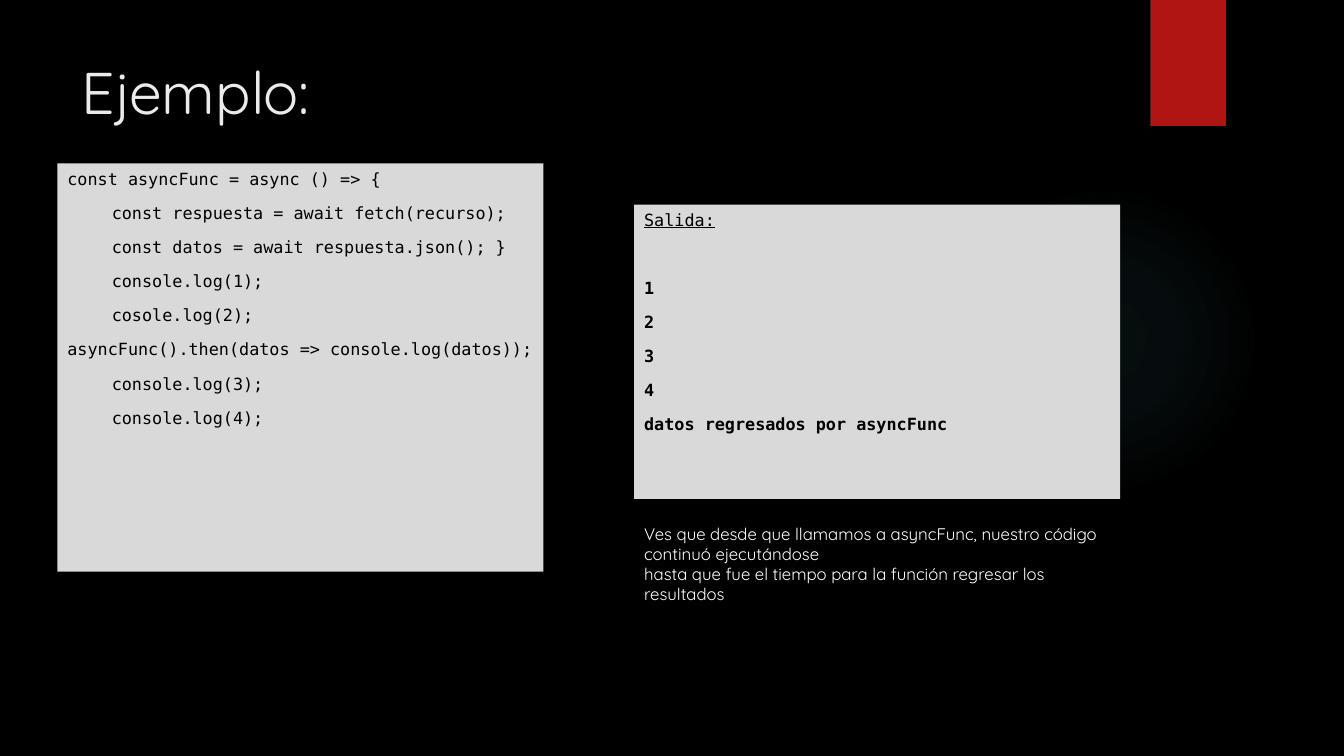
"""Builds the slide with an async function example and its output."""
import pptx
import pptx.dml.color
import pptx.enum.shapes
import pptx.enum.text
import pptx.oxml
import pptx.util

Inches = pptx.util.Inches
Pt = pptx.util.Pt
SHAPES = pptx.enum.shapes.MSO_SHAPE
ANCHOR = pptx.enum.text.MSO_ANCHOR

MONO, SANS = "DejaVu Sans Mono", "Quicksand"
PANEL, BLACK, RED = "D9D9D9", "000000", "B01513"
GLOW, GLOW_STOPS = "50B9C1", [(0, 7), (36, 6), (69, 0)]
INDENT = 0.44
PANEL_WIDTH, RIGHT_COLUMN = 4.82, 6.29

TITLE = "Ejemplo:"
CODE = [
    (0, "const asyncFunc = async () => {"),
    (1, "const respuesta = await fetch(recurso);"),
    (1, "const datos = await respuesta.json(); }"),
    (1, "console.log(1);"),
    (1, "cosole.log(2);"),
    (0, "asyncFunc().then(datos => console.log(datos));"),
    (1, "console.log(3);"),
    (1, "console.log(4);"),
]
OUTPUT_HEADING = "Salida:"
OUTPUT = ["1", "2", "3", "4", "datos regresados por asyncFunc"]
NOTE = [
    "Ves que desde que llamamos a asyncFunc, nuestro código continuó ejecutándose",
    "hasta que fue el tiempo para la función regresar los resultados",
]


def rgb(value):
    return pptx.dml.color.RGBColor.from_string(value)


def add_block(slide, kind, box, color):
    block = slide.shapes.add_shape(kind, *map(Inches, box))
    block.shadow.inherit = False
    block.fill.solid()
    block.fill.fore_color.rgb = rgb(color)
    block.line.fill.background()
    return block


def add_glow(slide):
    glow = add_block(slide, SHAPES.OVAL, (9.41, 1.83, 3.08, 3.08), GLOW)
    stops = "".join(
        f'<a:gs pos="{position * 1000}"><a:srgbClr val="{GLOW}">'
        f'<a:alpha val="{alpha * 1000}"/></a:srgbClr></a:gs>'
        for position, alpha in GLOW_STOPS
    )
    gradient = pptx.oxml.parse_xml(
        '<a:gradFill xmlns:a="http://schemas.openxmlformats.org/drawingml/2006/main">'
        f'<a:gsLst>{stops}</a:gsLst><a:path path="circle">'
        '<a:fillToRect l="50000" t="50000" r="50000" b="50000"/></a:path></a:gradFill>'
    )
    properties = glow.element.spPr
    properties.replace(properties.find(pptx.oxml.ns.qn("a:solidFill")), gradient)


def prepare(frame, anchor):
    frame.word_wrap = True
    frame.vertical_anchor = anchor


def write(frame, text, font, color, size=12, before=0, level=0, bold=False, underline=False):
    first = frame.paragraphs[0]
    paragraph = frame.add_paragraph() if first.runs else first
    paragraph.alignment = pptx.enum.text.PP_ALIGN.LEFT
    paragraph.space_before = Pt(before)
    if level:
        paragraph.level = level
        properties = paragraph._p.get_or_add_pPr()
        properties.set("marL", str(Inches(INDENT * level)))
        properties.set("indent", "0")
    run = paragraph.add_run()
    run.text = text
    run.font.name = font
    run.font.size = Pt(size)
    run.font.color.rgb = rgb(color)
    run.font.bold = bold
    run.font.underline = underline


def main():
    deck = pptx.Presentation()
    deck.slide_width, deck.slide_height = Inches(13.33), Inches(7.5)
    slide = deck.slides.add_slide(deck.slide_layouts[5])
    slide.background.fill.solid()
    slide.background.fill.fore_color.rgb = rgb(BLACK)

    add_glow(slide)
    add_block(slide, SHAPES.RECTANGLE, (11.41, 0, 0.75, 1.25), RED)

    title = slide.shapes.title
    title.left, title.top, title.width, title.height = map(Inches, (0.71, 0.5, 3.2, 0.98))
    prepare(title.text_frame, ANCHOR.TOP)
    write(title.text_frame, TITLE, SANS, "EBEBEB", size=42)

    code = add_block(slide, SHAPES.RECTANGLE, (0.57, 1.62, PANEL_WIDTH, 4.05), PANEL)
    prepare(code.text_frame, ANCHOR.TOP)
    for level, line in CODE:
        write(code.text_frame, line, MONO, BLACK, before=10, level=level)

    output = add_block(slide, SHAPES.RECTANGLE, (RIGHT_COLUMN, 2.03, PANEL_WIDTH, 2.92), PANEL)
    prepare(output.text_frame, ANCHOR.TOP)
    write(output.text_frame, OUTPUT_HEADING, MONO, BLACK, before=10, underline=True)
    for index, line in enumerate(OUTPUT):
        write(output.text_frame, line, MONO, BLACK, before=10 if index else 34, bold=True)

    note = slide.shapes.add_textbox(*map(Inches, (RIGHT_COLUMN, 5.14, PANEL_WIDTH, 0.91)))
    prepare(note.text_frame, ANCHOR.MIDDLE)
    for line in NOTE:
        write(note.text_frame, line, SANS, "FFFFFF")

    deck.save("out.pptx")


if __name__ == "__main__":
    main()
